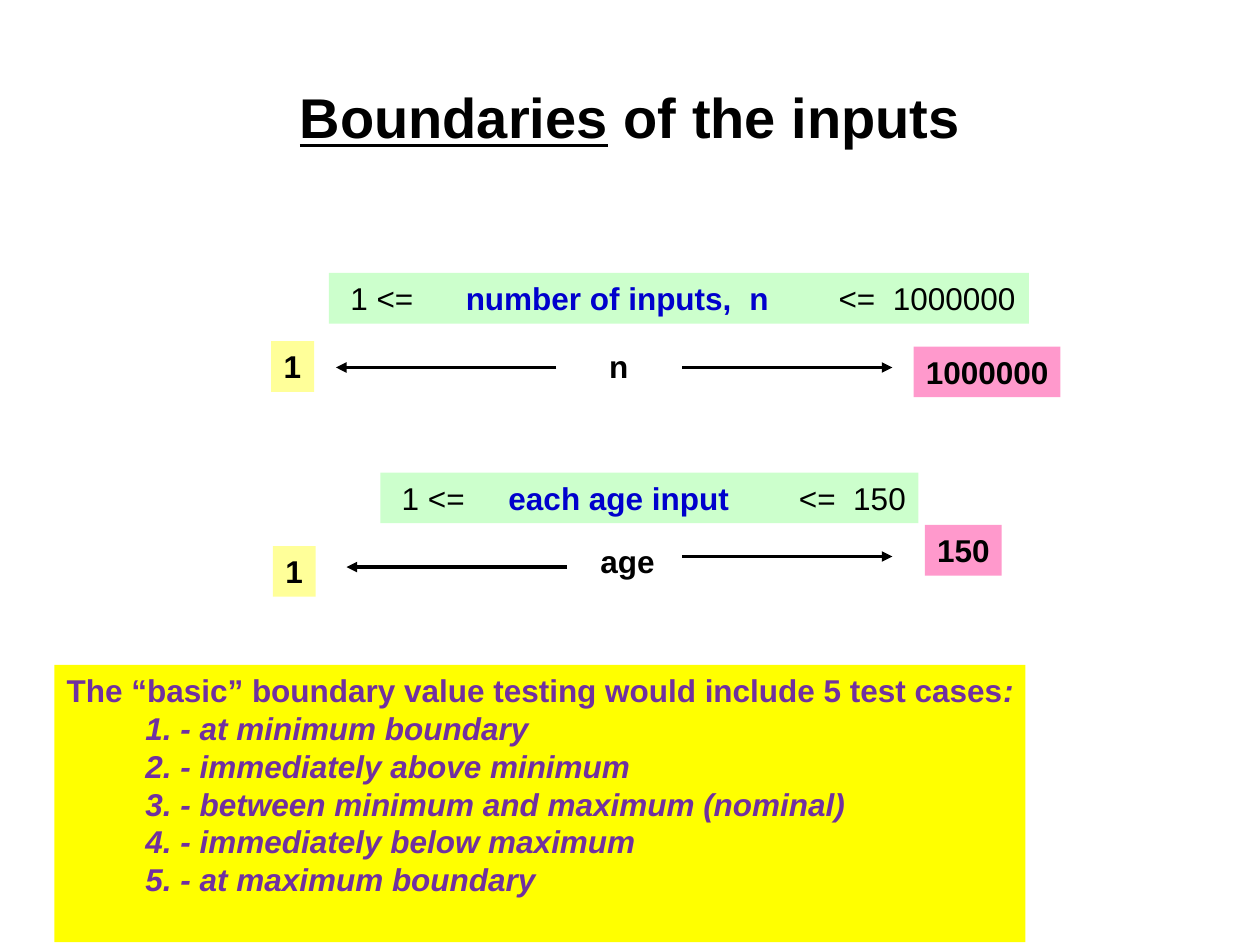
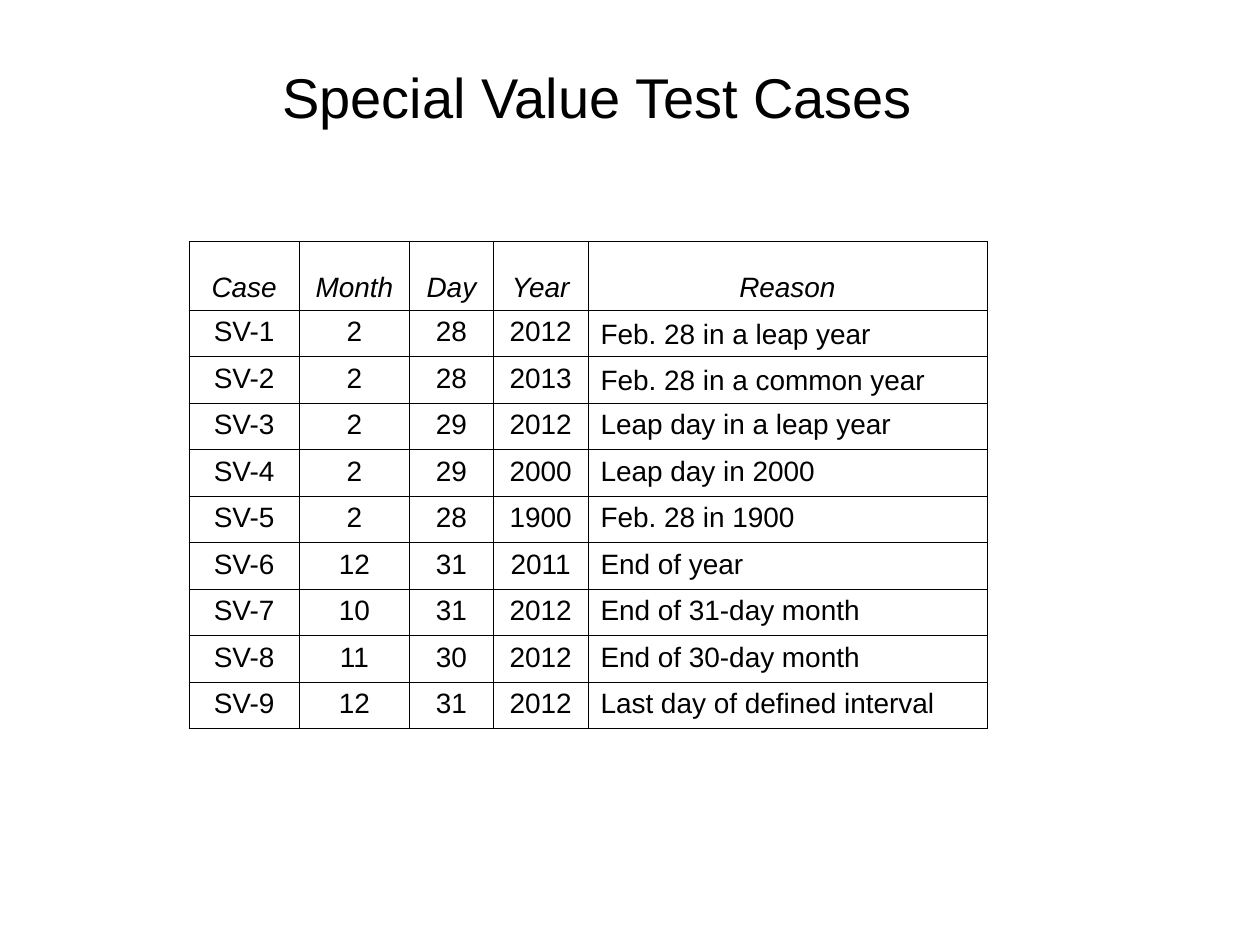
from lxml import etree
from pptx import Presentation
from pptx.dml.color import RGBColor
from pptx.enum import shapes, text
from pptx.oxml import ns
from pptx.util import Pt

BLACK = RGBColor(0x00, 0x00, 0x00)
BLUE = RGBColor(0x00, 0x00, 0xCC)
PURPLE = RGBColor(0x70, 0x30, 0xA0)
GREEN_FILL = RGBColor(0xCC, 0xFF, 0xCC)
PALE_YELLOW = RGBColor(0xFF, 0xFF, 0x99)
PINK = RGBColor(0xFF, 0x99, 0xCC)
YELLOW = RGBColor(0xFF, 0xFF, 0x00)

LABEL_HEIGHT = 29
PLAIN = {"name": "Arial", "size": Pt(18), "bold": False, "italic": False}
BOLD = {**PLAIN, "bold": True}
TITLE = {**PLAIN, "size": Pt(32)}
CELL = {**PLAIN, "size": Pt(16)}

NUMBER_RANGE = {
    "statement": (33, 400, (66, 228, 279, 310),
                  ("1 <=\t", "number of inputs,\tn\t", "<=\t1000000")),
    "labels": (("1", 0, 39, 24.5, PALE_YELLOW),
               ("n", 186, 39, 25, None),
               ("1000000", 367, 42, 84, PINK)),
    "arrows": ((163, 37, 54), (235, 355, 54)),
}
AGE_RANGE = {
    "statement": (61.4, 307.4, (61, 227, 258),
                  ("1 <=\t", "each age input\t", "<=\t150")),
    "labels": (("1", 0, 42, 24.5, PALE_YELLOW),
               ("age", 180, 36, 45, None),
               ("150", 372.5, 30, 44, PINK)),
    "arrows": ((168, 42, 54), (234, 354, 48)),
}

TEST_CASES = (
    "1. - at minimum boundary",
    "2. - immediately above minimum",
    "3. - between minimum and maximum (nominal)",
    "4. - immediately below maximum",
    "5. - at maximum boundary",
)

COLUMN_WIDTHS = (63, 63, 48, 54, 228)
HEADER_HEIGHT, ROW_HEIGHT = 39.2, 26.6
SPECIAL_VALUES = (
    ("Case", "Month", "Day", "Year", "Reason"),
    ("SV-1", "2", "28", "2012", "Feb. 28 in a leap year"),
    ("SV-2", "2", "28", "2013", "Feb. 28 in a common year"),
    ("SV-3", "2", "29", "2012", "Leap day in a leap year"),
    ("SV-4", "2", "29", "2000", "Leap day in 2000"),
    ("SV-5", "2", "28", "1900", "Feb. 28 in 1900"),
    ("SV-6", "12", "31", "2011", "End of year"),
    ("SV-7", "10", "31", "2012", "End of 31-day month"),
    ("SV-8", "11", "30", "2012", "End of 30-day month"),
    ("SV-9", "12", "31", "2012", "Last day of defined interval"),
)


def set_values(target, values):
    for name, value in values.items():
        setattr(target, name, value)


def add_run(paragraph, words, font_values, colour=BLACK):
    run = paragraph.add_run()
    run.text = words
    set_values(run.font, font_values)
    run.font.color.rgb = colour
    return run


def add_child(parent, tag, **attributes):
    return etree.SubElement(parent, ns.qn(tag), attributes)


def add_title_slide(presentation, box, alignment, margin):
    """Add a title-only slide; return it with its empty title paragraph."""
    slide = presentation.slides.add_slide(presentation.slide_layouts[5])
    title = slide.shapes.title
    set_values(title, dict(zip(("left", "top", "width", "height"), map(Pt, box))))
    frame = title.text_frame
    set_values(frame, {
        "auto_size": text.MSO_AUTO_SIZE.NONE, "word_wrap": True,
        "vertical_anchor": text.MSO_ANCHOR.MIDDLE,
        "margin_left": Pt(margin), "margin_right": Pt(margin),
        "margin_top": Pt(margin / 2), "margin_bottom": Pt(margin / 2),
    })
    paragraph = frame.paragraphs[0]
    paragraph.alignment = alignment
    return slide, paragraph


def add_box(slide, box, fill=None, margin_left=7.2):
    """Add a box, plain or filled, and return its text frame."""
    lengths = map(Pt, box)
    if fill is None:
        shape = slide.shapes.add_textbox(*lengths)
    else:
        shape = slide.shapes.add_shape(shapes.MSO_SHAPE.RECTANGLE, *lengths)
        shape.shadow.inherit = False
        shape.fill.solid()
        shape.fill.fore_color.rgb = fill
        shape.line.fill.background()
    frame = shape.text_frame
    set_values(frame, {
        "word_wrap": True, "vertical_anchor": text.MSO_ANCHOR.TOP,
        "margin_left": Pt(margin_left), "margin_right": 0,
        "margin_top": Pt(3.6), "margin_bottom": Pt(3.6),
    })
    frame.paragraphs[0].alignment = text.PP_ALIGN.LEFT
    return frame


def add_arrow(slide, start, end, y):
    arrow = slide.shapes.add_connector(
        shapes.MSO_CONNECTOR.STRAIGHT, Pt(start), Pt(y), Pt(end), Pt(y))
    arrow.line.color.rgb = BLACK
    arrow.line.width = Pt(2)
    add_child(arrow.line._get_or_add_ln(), "a:tailEnd", type="triangle")
    add_child(arrow._element.spPr, "a:effectLst")


def add_range_diagram(slide, left, top, diagram):
    """Draw a range statement above its two limits and arrows."""
    for start, end, y in diagram["arrows"]:
        add_arrow(slide, left + start, left + end, top + y)
    for words, x, y, width, fill in diagram["labels"]:
        frame = add_box(slide, (left + x, top + y, width, LABEL_HEIGHT), fill)
        add_run(frame.paragraphs[0], words, BOLD)

    x, width, stops, (lower, variable, upper) = diagram["statement"]
    frame = add_box(slide, (left + x, top, width, LABEL_HEIGHT), GREEN_FILL, 12.2)
    paragraph = frame.paragraphs[0]
    tab_list = add_child(paragraph._p.get_or_add_pPr(), "a:tabLst")
    for stop in stops:
        add_child(tab_list, "a:tab", pos=str(Pt(stop)), algn="l")
    add_run(paragraph, lower, PLAIN)
    add_run(paragraph, variable, BOLD, BLUE)
    add_run(paragraph, upper, PLAIN)


def add_test_case_list(slide, box):
    frame = add_box(slide, box, YELLOW)
    heading = frame.paragraphs[0]
    slanted = {**BOLD, "italic": True}
    add_run(heading, "The “basic” boundary value testing would include 5 test cases",
            BOLD, PURPLE)
    add_run(heading, ":", slanted, PURPLE)
    for case in TEST_CASES:
        paragraph = frame.add_paragraph()
        paragraph.alignment = text.PP_ALIGN.LEFT
        paragraph._p.get_or_add_pPr().set("marL", str(Pt(45)))
        add_run(paragraph, case, slanted, PURPLE)


def add_cell_borders(cell):
    properties = cell._tc.get_or_add_tcPr()
    for position, side in enumerate(("a:lnL", "a:lnR", "a:lnT", "a:lnB")):
        line = etree.Element(ns.qn(side), w=str(Pt(0.45)))
        fill = add_child(line, "a:solidFill")
        add_child(fill, "a:srgbClr", val=str(BLACK))
        properties.insert(position, line)


def add_special_value_table(slide, left, top):
    row_count, column_count = len(SPECIAL_VALUES), len(COLUMN_WIDTHS)
    height = HEADER_HEIGHT + (row_count - 1) * ROW_HEIGHT
    table = slide.shapes.add_table(
        row_count, column_count, Pt(left), Pt(top),
        Pt(sum(COLUMN_WIDTHS)), Pt(height)).table
    set_values(table, {"first_row": False, "horz_banding": False})
    for column, width in zip(table.columns, COLUMN_WIDTHS):
        column.width = Pt(width)
    for row_index, values in enumerate(SPECIAL_VALUES):
        is_header = row_index == 0
        table.rows[row_index].height = Pt(HEADER_HEIGHT if is_header else ROW_HEIGHT)
        for column_index, value in enumerate(values):
            is_reason = column_index == column_count - 1
            at_bottom = is_header or (is_reason and row_index <= 2)
            cell = table.cell(row_index, column_index)
            cell.fill.background()
            add_cell_borders(cell)
            cell.vertical_anchor = (
                text.MSO_ANCHOR.BOTTOM if at_bottom else text.MSO_ANCHOR.TOP)
            paragraph = cell.text_frame.paragraphs[0]
            paragraph.alignment = (
                text.PP_ALIGN.LEFT if is_reason and not is_header
                else text.PP_ALIGN.CENTER)
            add_run(paragraph, value, {**CELL, "italic": is_header})


def build_boundaries_slide(presentation):
    slide, title = add_title_slide(
        presentation, (36, 21.6, 648, 90), text.PP_ALIGN.CENTER, 7.2)
    bold_title = {**TITLE, "bold": True}
    add_run(title, "Boundaries", {**bold_title, "underline": True})
    add_run(title, " of the inputs", bold_title)
    add_range_diagram(slide, 155, 156, NUMBER_RANGE)
    add_range_diagram(slide, 156, 270, AGE_RANGE)
    add_test_case_list(slide, (31, 380, 555, 158.4))


def build_special_values_slide(presentation):
    slide, title = add_title_slide(
        presentation, (161.3, 36, 367, 38.2), text.PP_ALIGN.LEFT, 0)
    add_run(title, "Special Value Test Cases", TITLE)
    add_special_value_table(slide, 108, 138)


def main():
    presentation = Presentation()
    set_values(presentation, {"slide_width": Pt(720), "slide_height": Pt(540)})
    build_boundaries_slide(presentation)
    build_special_values_slide(presentation)
    presentation.save("out.pptx")


if __name__ == "__main__":
    main()
